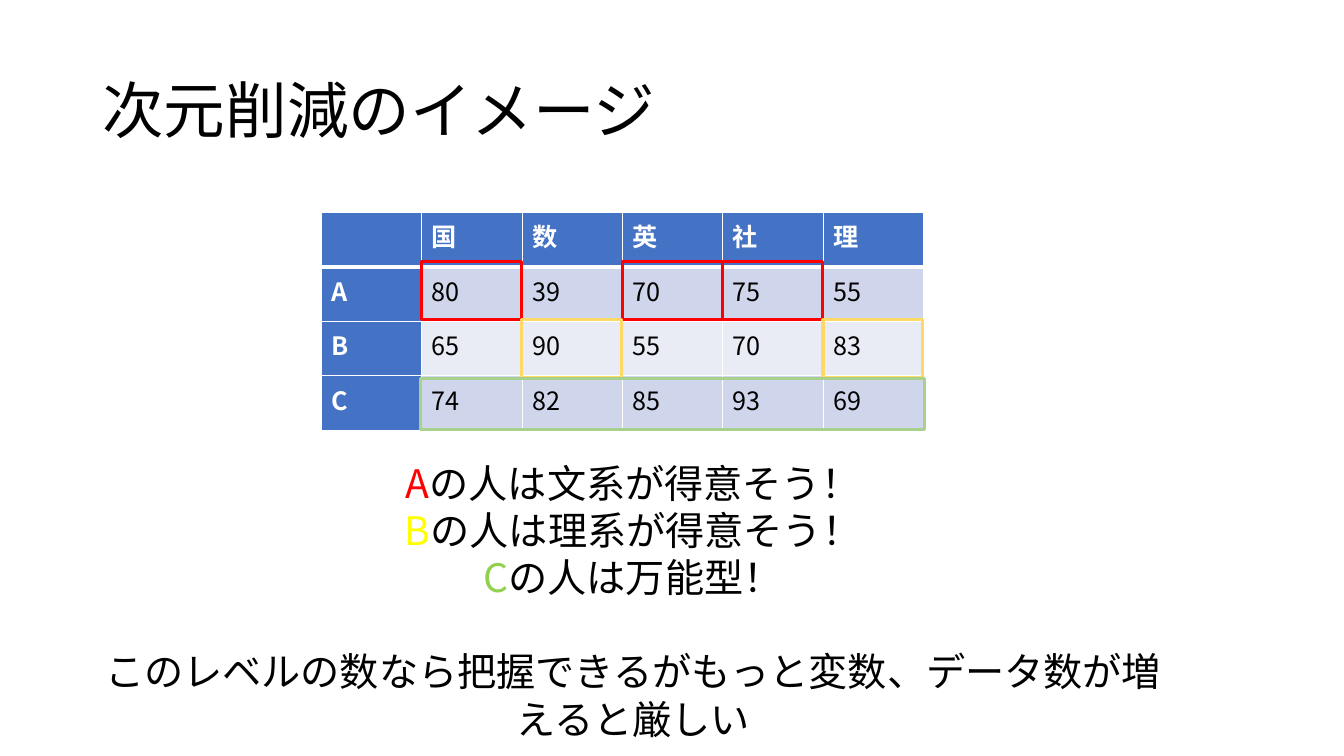
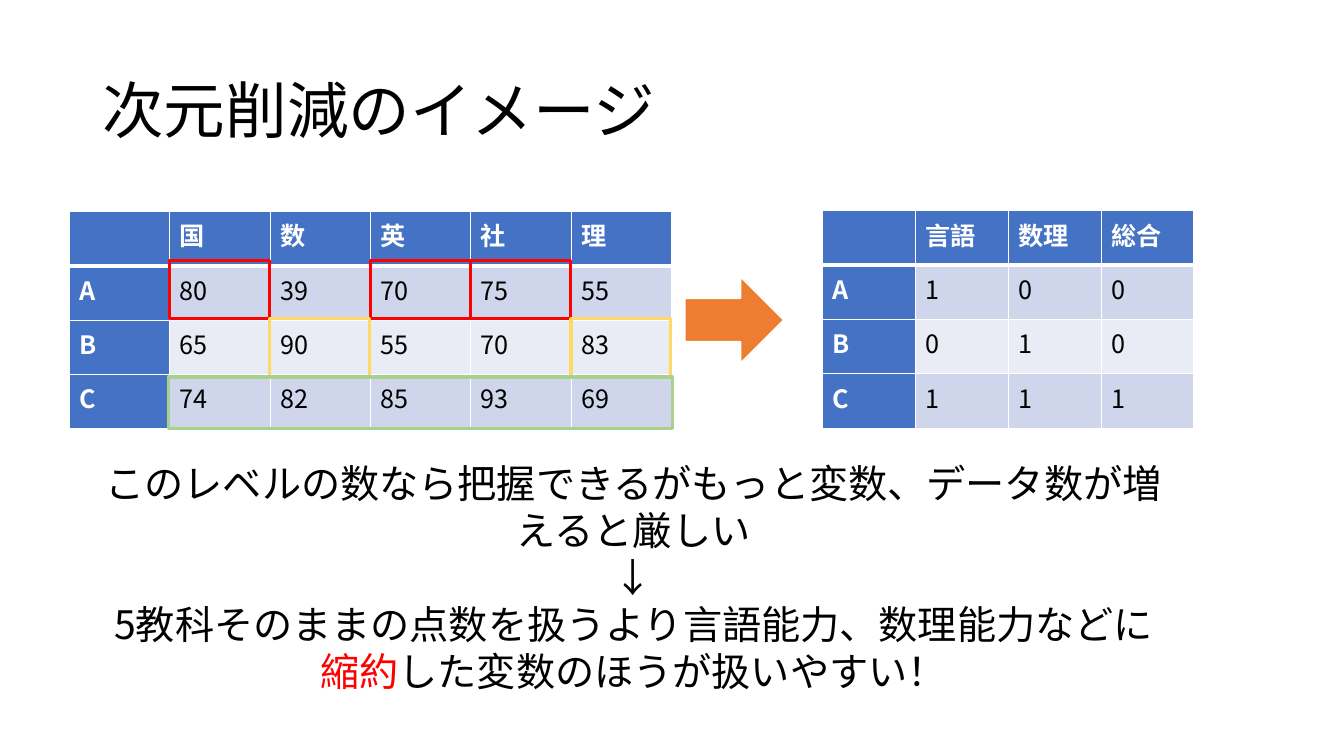
from lxml.etree import SubElement
from pptx import Presentation
from pptx.dml.color import RGBColor
from pptx.enum.shapes import MSO_SHAPE
from pptx.enum.text import MSO_ANCHOR, PP_ALIGN
from pptx.oxml.ns import qn
from pptx.util import Cm, Pt

FONT = "Noto Sans CJK JP"
BLACK, WHITE, RED = "000000", "FFFFFF", "FF0000"
BLUE, GOLD, GREEN, ORANGE = "4472C4", "FFD966", "A9D18E", "ED7D31"
BANDS = ["E9EBF5", "CFD5EA"]
TITLE = {"size": Pt(44)}
BODY = {"size": Pt(28)}
HEAD = {"size": Pt(18), "bold": True}
CELL = {"size": Pt(18), "bold": False}
PITCH = Pt(33.6)
COL, ROW = 2.53, 1.37

SCORES = [
    ["", "国", "数", "英", "社", "理"],
    ["A", "80", "39", "70", "75", "55"],
    ["B", "65", "90", "55", "70", "83"],
    ["C", "74", "82", "85", "93", "69"],
]
SKILLS = [
    ["", "言語", "数理", "総合"],
    ["A", "1", "0", "0"],
    ["B", "0", "1", "0"],
    ["C", "1", "1", "1"],
]
MARKS = [(1, 1, RED), (1, 3, RED), (1, 4, RED), (2, 2, GOLD), (2, 5, GOLD)]
LIMIT = [("このレベルの数なら把握できるがもっと変数、データ数が増えると厳しい", BLACK)]


def tint(code):
    """Turn a hex string into a colour."""
    return RGBColor.from_string(code)


class Deck:
    """Hold the shared style and the current slide."""

    def __init__(self):
        """Start an empty wide deck."""
        self.prs = Presentation()
        self.prs.slide_width, self.prs.slide_height = Cm(33.87), Cm(19.05)
        self.slide = None

    def page(self, title):
        """Add a slide with its title."""
        self.slide = self.prs.slides.add_slide(self.prs.slide_layouts[6])
        frame = self.box(2.33, 1.01, 29.21, 3.68)
        frame.vertical_anchor = MSO_ANCHOR.MIDDLE
        line = frame.paragraphs[0]
        line.line_spacing = 0.9
        self.run(line, title, BLACK, TITLE)

    def box(self, left, top, width, height):
        """Add a wrapping text box and return its frame."""
        shape = self.slide.shapes.add_textbox(Cm(left), Cm(top), Cm(width), Cm(height))
        shape.text_frame.word_wrap = True
        return shape.text_frame

    def run(self, line, text, color, style):
        """Add a styled run to a paragraph."""
        run = line.add_run()
        run.text = text
        run.font.name = FONT
        run.font.color.rgb = tint(color)
        for key, value in style.items():
            setattr(run.font, key, value)
        SubElement(run._r.get_or_add_rPr(), qn("a:ea"), typeface=FONT)

    def body(self, left, width, height, lines, gap=0):
        """Add centred lines, with a gap before the last one."""
        frame = self.box(left, 11.46, width, height)
        for i, parts in enumerate(lines):
            line = frame.add_paragraph() if i else frame.paragraphs[0]
            line.alignment = PP_ALIGN.CENTER
            line.line_spacing = PITCH
            for text, color in parts:
                self.run(line, text, color, BODY)
        line.space_before = gap

    def border(self, cell, row):
        """Draw white cell borders, thick under the header row."""
        wide = {(0, "B"), (1, "T")}
        props = cell._tc.get_or_add_tcPr()
        for side in "LRTB":
            width = Pt(3 if (row, side) in wide else 1)
            edge = SubElement(props, qn(f"a:ln{side}"), w=str(width))
            SubElement(SubElement(edge, qn("a:solidFill")), qn("a:srgbClr"), val=WHITE)

    def table(self, left, top, rows, col=COL):
        """Add a table with header row, header column and bands."""
        size = len(rows), len(rows[0])
        grid = self.slide.shapes.add_table(
            *size, Cm(left), Cm(top), Cm(col * size[1]), Cm(ROW * size[0])
        ).table
        for part in grid.columns:
            part.width = Cm(col)
        for r, row in enumerate(rows):
            for c, text in enumerate(row):
                cell = grid.cell(r, c)
                head = r == 0 or c == 0
                self.border(cell, r)
                cell.fill.solid()
                cell.fill.fore_color.rgb = tint(BLUE if head else BANDS[r % 2])
                if text:
                    line = cell.text_frame.paragraphs[0]
                    self.run(line, text, WHITE if head else BLACK, HEAD if head else CELL)

    def shape(self, kind, left, top, width, height, edge, weight=2.25, fill=None):
        """Add an outlined shape, filled if a colour is given."""
        item = self.slide.shapes.add_shape(kind, Cm(left), Cm(top), Cm(width), Cm(height))
        item.shadow.inherit = False
        item.line.color.rgb = tint(edge)
        item.line.width = Pt(weight)
        if fill:
            item.fill.solid()
            item.fill.fore_color.rgb = tint(fill)
        else:
            item.fill.background()

    def scores(self, left, top):
        """Add the score table with its marked cells."""
        self.table(left, top, SCORES)
        for r, c, color in MARKS:
            spot = left + c * COL - 0.01, top + 1.24 + (r - 1) * 1.46
            self.shape(MSO_SHAPE.RECTANGLE, *spot, 2.52, 1.45, color)
        self.shape(MSO_SHAPE.RECTANGLE, left + COL - 0.04, top + 4.17, 12.7, 1.3, GREEN)


deck = Deck()

deck.page("次元削減のイメージ")
deck.scores(8.1, 5.36)
deck.body(1.96, 27.99, 6.25, [
    [("A", RED), ("の人は文系が得意そう！", BLACK)],
    [("B", "FFFF00"), ("の人は理系が得意そう！", BLACK)],
    [("C", "92D050"), ("の人は万能型！", BLACK)],
    LIMIT,
], PITCH)

deck.page("次元削減のイメージ")
deck.scores(1.75, 5.33)
deck.shape(MSO_SHAPE.RIGHT_ARROW, 17.25, 6.96, 2.51, 2.21, WHITE, 1.5, ORANGE)
deck.table(20.73, 5.31, SKILLS, 2.34)
deck.body(2.26, 27.41, 5.05, [
    LIMIT,
    [("↓", BLACK)],
    [("5教科そのままの点数を扱うより言語能力、数理能力などに", BLACK)],
    [("縮約", RED), ("した変数のほうが扱いやすい！", BLACK)],
])

deck.prs.save("out.pptx")
